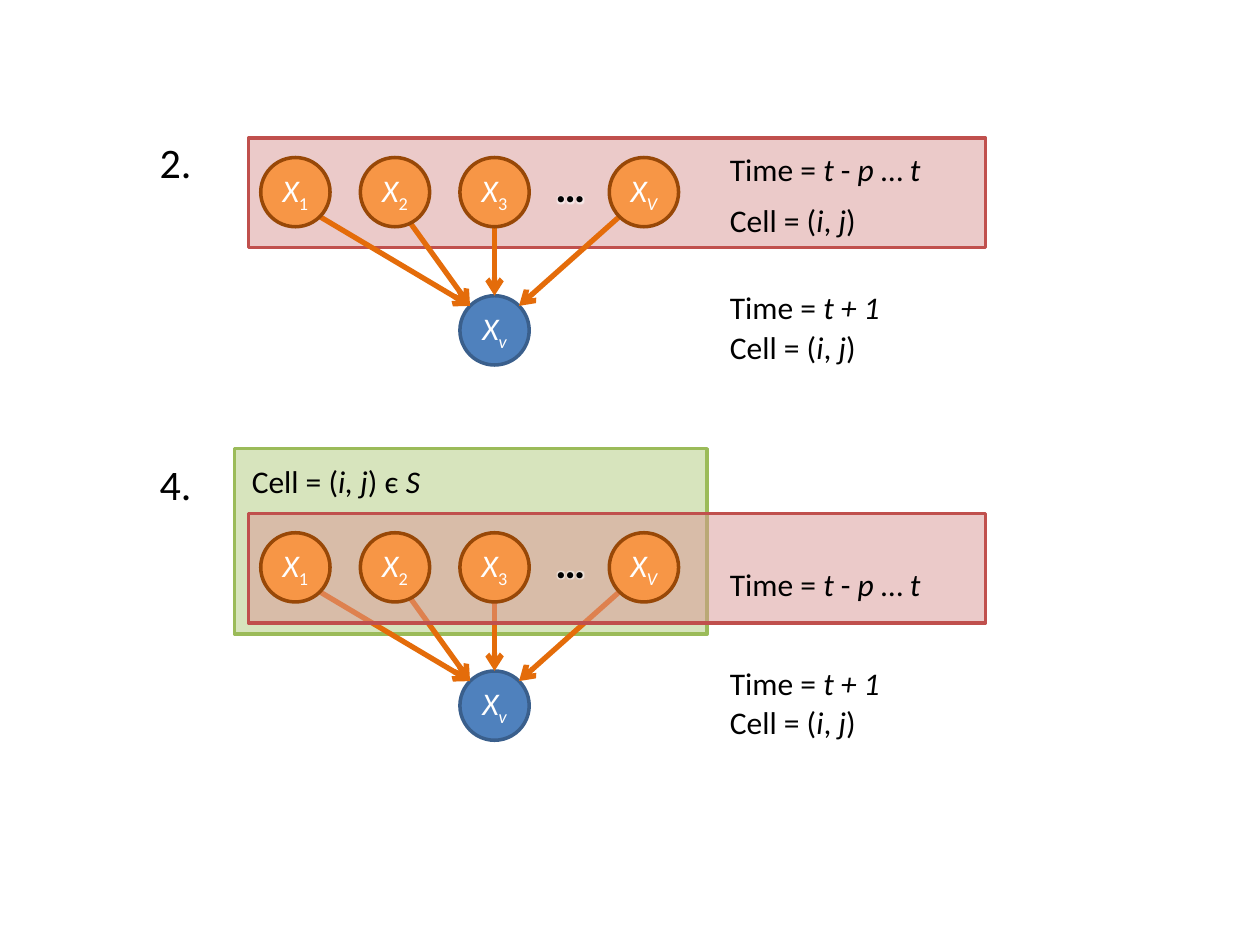
from math import hypot

from lxml.etree import SubElement, fromstring
from pptx import Presentation
from pptx.dml.color import RGBColor
from pptx.enum.shapes import MSO_CONNECTOR as CONNECTOR, MSO_SHAPE as SHAPE
from pptx.enum.text import MSO_ANCHOR as ANCHOR, MSO_AUTO_SIZE as AUTO_SIZE, PP_ALIGN as ALIGN
from pptx.oxml.ns import nsdecls, qn
from pptx.util import Pt

COLORS = {
    "text": "000000", "white": "FFFFFF", "arrow": "E46C0A",
    "source": "F79646", "source_line": "984807",
    "target": "4F81BD", "target_line": "3A5F8C",
    "time": "D99694", "time_line": "C0504D",
    "cell": "D7E4BD", "cell_line": "9BBB59",
}
FONT = "Calibri"
DIAMETER = 39.6
PITCH = 56.9
SOURCE_LEFT = 149
SOURCE_DROP = 11
TARGET_DROP = 90
LABEL_LEFT = 410
SOURCES = [("1", False, 0), ("2", False, 1), ("3", False, 2), ("V", True, 3.5)]
ARROWS = [(0, (1, 1), (-1, -1)), (1, (-1, -1), (-1, -1)),
          (2, (0, 1), (0, -1)), (3.5, (-1, 1), (1, -1))]
PAST = "Time = *t* - *p* … *t"
NEXT = "Time = *t + 1"
CELL = "Cell = (*i*, *j*)"


def rgb(name):
    return RGBColor.from_string(COLORS[name])


def add_run(paragraph, text, size, color, italic=False, bold=False):
    run = paragraph.add_run()
    run.text = text
    font = run.font
    font.size, font.name, font.italic, font.bold = Pt(size), FONT, italic, bold
    font.color.rgb = rgb(color)
    return run


def add_label(slide, text, left, top, width=193, size=18, bold=False, align=ALIGN.LEFT):
    """Add a text box whose pieces between asterisks alternate upright and italic."""
    height = 36.4 if size == 24 else 29.1
    frame = slide.shapes.add_textbox(Pt(left), Pt(top), Pt(width), Pt(height)).text_frame
    frame.word_wrap = True
    frame.auto_size = AUTO_SIZE.SHAPE_TO_FIT_TEXT
    paragraph = frame.paragraphs[0]
    paragraph.alignment = align
    for index, piece in enumerate(text.split("*")):
        add_run(paragraph, piece, size, "text", index % 2 == 1, bold)
    return paragraph


def add_ellipsis(slide, top):
    paragraph = add_label(slide, "…", 309, top, 33.8, 24, True, ALIGN.CENTER)
    fill = paragraph.runs[0].font._element.find(qn("a:solidFill"))
    fill.addnext(fromstring(
        f'<a:effectLst {nsdecls("a")}><a:glow rad="38100">'
        '<a:srgbClr val="FFFFFF"><a:alpha val="60000"/></a:srgbClr></a:glow></a:effectLst>'))


def add_filled(slide, kind, left, top, width, height, color, opacity=100):
    shape = slide.shapes.add_shape(kind, Pt(left), Pt(top), Pt(width), Pt(height))
    shape.shadow.inherit = False
    shape.fill.solid()
    shape.fill.fore_color.rgb = rgb(color)
    shape.line.color.rgb = rgb(color + "_line")
    shape.line.width = Pt(2)
    if opacity < 100:
        tint = shape._element.spPr.find(qn("a:solidFill"))[0]
        SubElement(tint, qn("a:alpha")).set("val", str(opacity * 1000))
    return shape


def add_time_panel(slide, top):
    add_filled(slide, SHAPE.RECTANGLE, 142, top, 421.2, 62.6, "time", 50)


def add_node(slide, subscript, italic, column, top, color):
    left = SOURCE_LEFT + column * PITCH
    frame = add_filled(slide, SHAPE.OVAL, left, top, DIAMETER, DIAMETER, color).text_frame
    frame.margin_left = frame.margin_right = frame.margin_top = frame.margin_bottom = 0
    frame.vertical_anchor = ANCHOR.MIDDLE
    paragraph = frame.paragraphs[0]
    paragraph.alignment = ALIGN.CENTER
    add_run(paragraph, "X", 18, "white", True)
    run = add_run(paragraph, subscript, 18, "white", italic)
    run.font._element.set("baseline", "-25000")


def rim_point(column, top, direction):
    """Return the point on a node's rim that lies in the given direction."""
    radius = DIAMETER / 2
    scale = radius / hypot(*direction)
    x = SOURCE_LEFT + column * PITCH + radius + direction[0] * scale
    y = top + radius + direction[1] * scale
    return Pt(x), Pt(y)


def add_arrows(slide, top):
    for column, leave, arrive in ARROWS:
        start = rim_point(column, top + SOURCE_DROP, leave)
        end = rim_point(2, top + TARGET_DROP, arrive)
        arrow = slide.shapes.add_connector(CONNECTOR.STRAIGHT, *start, *end)
        arrow.line.color.rgb = rgb("arrow")
        arrow.line.width = Pt(3)
        SubElement(arrow.line._get_or_add_ln(), qn("a:tailEnd")).set("type", "arrow")
        SubElement(arrow._element.spPr, qn("a:effectLst"))


def add_sources(slide, top):
    for subscript, italic, column in SOURCES:
        add_node(slide, subscript, italic, column, top + SOURCE_DROP, "source")
    add_ellipsis(slide, top + 9.4)


def add_target(slide, top):
    add_node(slide, "v", True, 2, top + TARGET_DROP, "target")
    add_label(slide, NEXT, LABEL_LEFT, top + 82.3)
    add_label(slide, CELL, LABEL_LEFT, top + 105)


def add_single_cell_model(slide, top):
    add_label(slide, "2.", 84.2, 74.2, 35.3, 24)
    add_time_panel(slide, top)
    add_target(slide, top)
    add_arrows(slide, top)
    add_sources(slide, top)
    add_label(slide, PAST, LABEL_LEFT, top + 3)
    add_label(slide, CELL, LABEL_LEFT, top + 32.4)


def add_neighbourhood_model(slide, top):
    add_label(slide, "4.", 84.2, 258.5, 35.3, 24)
    add_filled(slide, SHAPE.RECTANGLE, 134, top - 37, 270, 106, "cell")
    add_label(slide, "Cell = (*i, j*) є *S", 136.8, top - 33.2, 262.8)
    add_target(slide, top)
    add_arrows(slide, top)
    add_time_panel(slide, top)
    add_sources(slide, top)
    add_label(slide, PAST, LABEL_LEFT, top + 25.7)


def main():
    presentation = Presentation()
    presentation.slide_width, presentation.slide_height = Pt(720), Pt(540)
    slide = presentation.slides.add_slide(presentation.slide_layouts[6])
    add_single_cell_model(slide, 79)
    add_neighbourhood_model(slide, 293.4)
    presentation.save("out.pptx")


if __name__ == "__main__":
    main()
